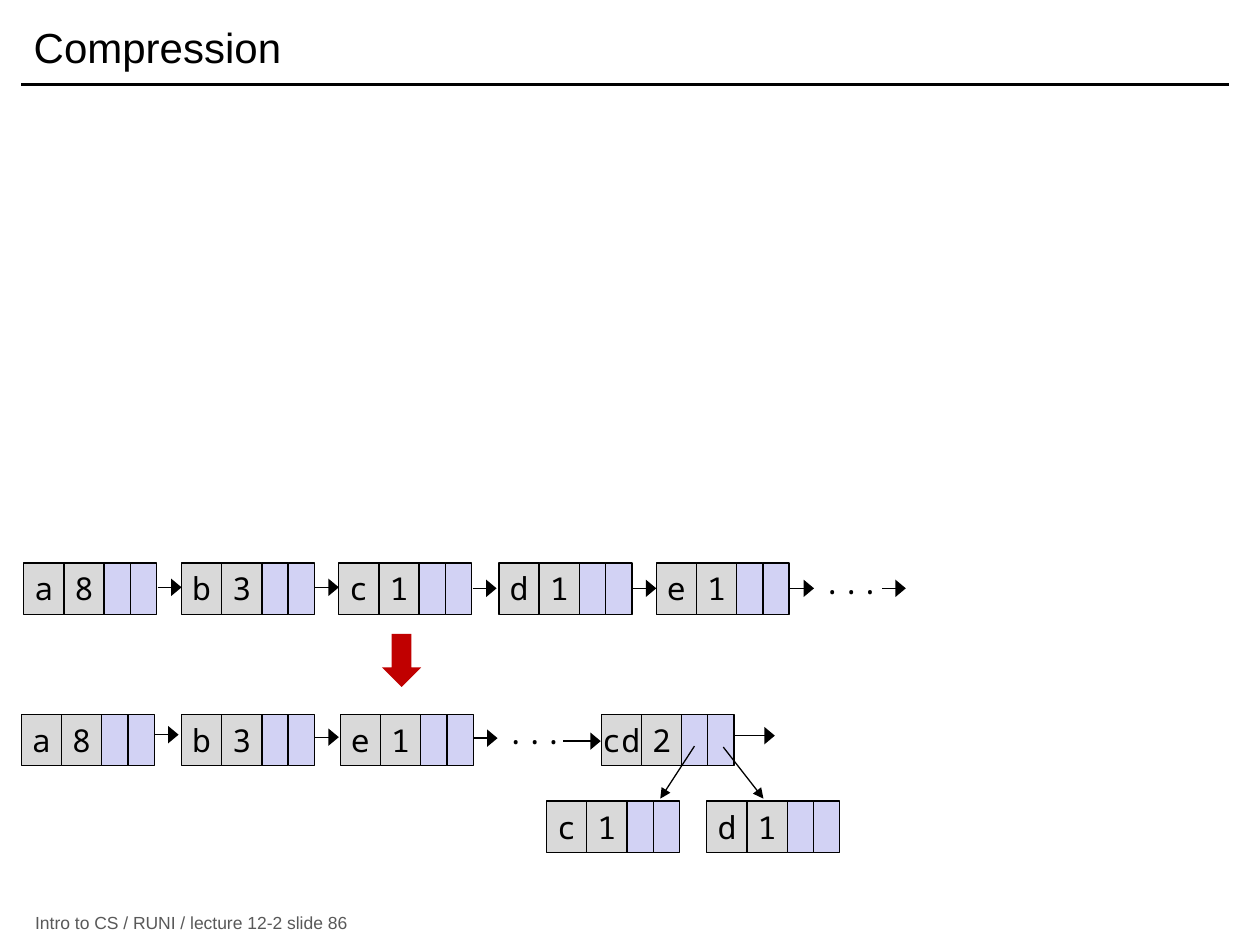
from lxml import etree
from pptx import Presentation
from pptx.dml.color import RGBColor
from pptx.enum.shapes import MSO_CONNECTOR as Connector, MSO_SHAPE as Shape
from pptx.enum.text import MSO_ANCHOR as Anchor, PP_ALIGN as Align
from pptx.oxml.ns import qn
from pptx.util import Cm, Pt

COLORS = {
    "ink": "000000",
    "data": "D9D9D9",
    "pointer": "D2D2F4",
    "step": "C00000",
    "footer": "595959",
}
COLORS = {role: RGBColor.from_string(value) for role, value in COLORS.items()}
DATA_WIDTH, POINTER_WIDTH, NODE_HEIGHT = 0.81, 0.53, 1.04

deck = Presentation()
deck.slide_width, deck.slide_height = Cm(25.4), Cm(19.05)
slide = deck.slides.add_slide(deck.slide_layouts[6])
shapes = slide.shapes


def write(box, text, size, font, color, align=Align.LEFT, anchor=Anchor.MIDDLE, side=0.25):
    frame = box.text_frame
    frame.text = text
    frame.word_wrap = True
    frame.vertical_anchor = anchor
    frame.margin_left = frame.margin_right = Cm(side)
    frame.margin_top = frame.margin_bottom = Cm(0.13)
    paragraph = frame.paragraphs[0]
    paragraph.alignment = align
    for run in paragraph.runs:
        run.font.size = Pt(size)
        run.font.name = font
        run.font.color.rgb = COLORS[color]


def draw_line(x1, y1, x2, y2, width=0.75, head=None):
    link = shapes.add_connector(Connector.STRAIGHT, Cm(x1), Cm(y1), Cm(x2), Cm(y2))
    link.line.color.rgb = COLORS["ink"]
    link.line.width = Pt(width)
    properties = link._element.spPr
    if head:
        etree.SubElement(properties.find(qn("a:ln")), qn("a:tailEnd"),
                         type="triangle", w=head, len="med")
    etree.SubElement(properties, qn("a:effectLst"))


draw_line(0.43, 1.7, 24.77, 1.7, width=2)

footer = shapes.add_textbox(Cm(0.46), Cm(18.36), Cm(23.93), Cm(0.48))
tabs = etree.SubElement(footer.text_frame.paragraphs[0]._p.get_or_add_pPr(), qn("a:tabLst"))
etree.SubElement(tabs, qn("a:tab"), pos=str(Cm(23.06)), algn="r")
write(footer, "Intro to CS / RUNI / lecture 12-2\tslide 86", 10, "Arial", "footer")

title = shapes.add_textbox(Cm(0.43), Cm(0.2), Cm(24.33), Cm(1.47))
write(title, "Compression", 24, "Arial", "ink")

nodes = [
    (0.48, 11.35, "a", "8"),
    (3.66, 11.35, "b", "3"),
    (6.83, 11.35, "c", "1"),
    (10.06, 11.35, "d", "1"),
    (13.23, 11.35, "e", "1"),
    (0.43, 14.4, "a", "8"),
    (3.66, 14.4, "b", "3"),
    (6.86, 14.4, "e", "1"),
    (12.12, 14.4, "cd", "2"),
    (11.02, 16.15, "c", "1"),
    (14.25, 16.15, "d", "1"),
]
for left, top, symbol, count in nodes:
    for content in (symbol, count, "", ""):
        width, role = (DATA_WIDTH, "data") if content else (POINTER_WIDTH, "pointer")
        cell = shapes.add_shape(Shape.RECTANGLE, Cm(left), Cm(top), Cm(width), Cm(NODE_HEIGHT))
        cell.shadow.inherit = False
        cell.fill.solid()
        cell.fill.fore_color.rgb = COLORS[role]
        cell.line.color.rgb = COLORS["ink"]
        cell.line.width = Pt(0.75)
        if content:
            write(cell, content, 18, "Noto Sans Mono", "ink", Align.CENTER, Anchor.TOP, 0)
        left += width

next_links = [
    (3.18, 11.84, 0.48),
    (6.35, 11.84, 0.48),
    (9.53, 11.86, 0.48),
    (12.75, 11.86, 0.48),
    (15.93, 11.86, 0.48),
    (17.78, 11.86, 0.48),
    (3.12, 14.81, 0.48),
    (6.35, 14.86, 0.48),
    (9.55, 14.88, 0.48),
    (11.35, 14.94, 0.76),
    (14.78, 14.83, 0.84),
]
for left, y, length in next_links:
    draw_line(left, y, left + length, y, head="lg")

for child_link in [(14, 15.04, 13.31, 16.1), (14.58, 15.06, 15.39, 16.1)]:
    draw_line(*child_link, head="med")

for left, top in [(16.51, 11.23), (10.13, 14.25)]:
    ellipsis = shapes.add_textbox(Cm(left), Cm(top), Cm(1.3), Cm(NODE_HEIGHT))
    write(ellipsis, "...", 18, "Noto Sans Mono", "ink", Align.CENTER, Anchor.TOP, 0)

merge_step = shapes.add_shape(Shape.DOWN_ARROW, Cm(7.7), Cm(12.78), Cm(0.79), Cm(1.07))
merge_step.shadow.inherit = False
merge_step.fill.solid()
merge_step.fill.fore_color.rgb = COLORS["step"]
merge_step.line.fill.background()

deck.save("out.pptx")
